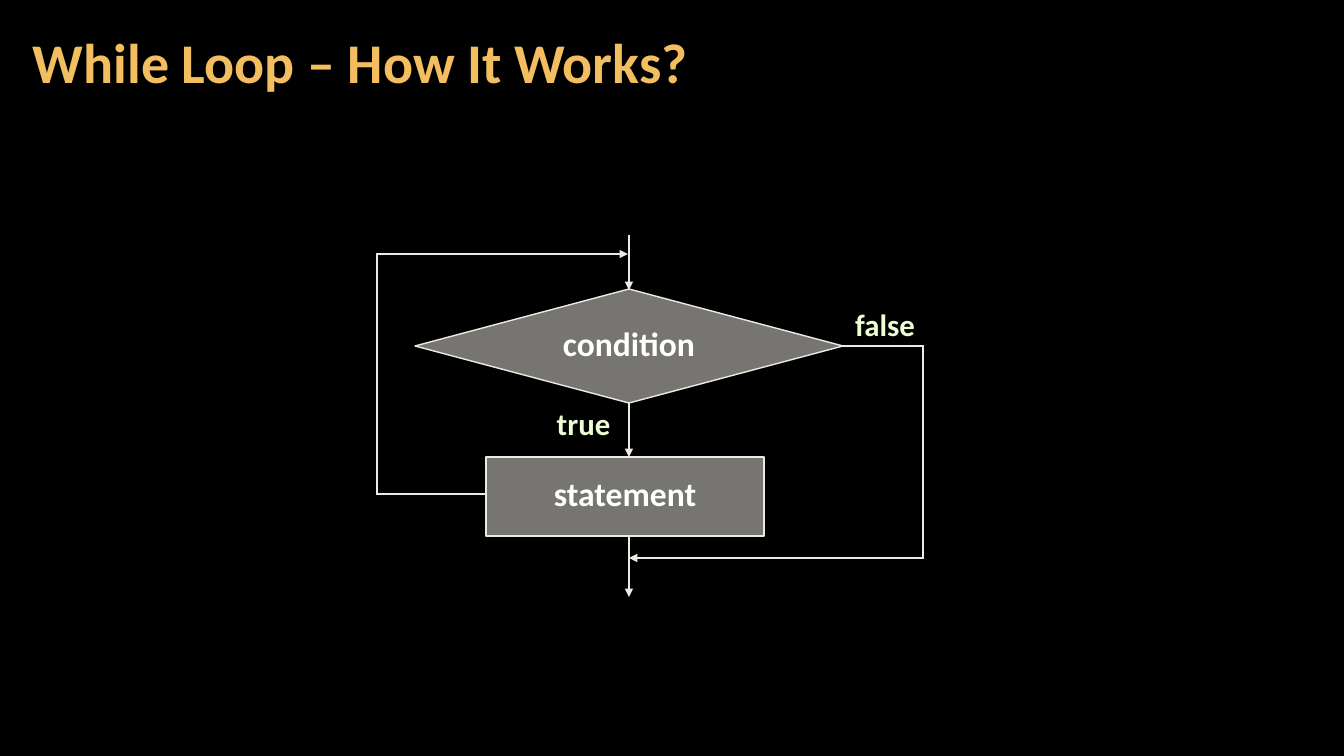
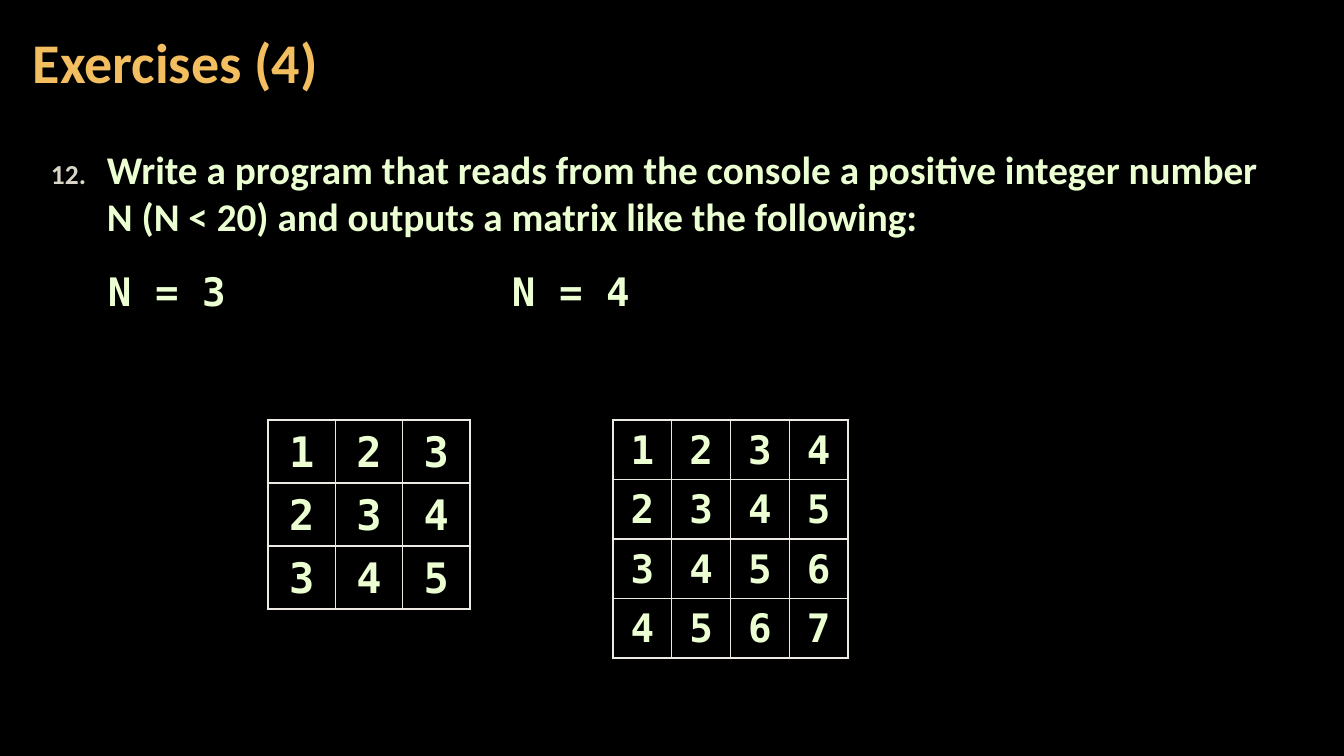
from dataclasses import dataclass
from itertools import pairwise

from pptx import Presentation, util as u
from pptx.dml.color import RGBColor
from pptx.enum import shapes as kinds, text as t
from pptx.oxml import parse_xml
from pptx.oxml.ns import nsdecls
from pptx.oxml.xmlchemy import OxmlElement

PX = 914400 / 100.8  # EMU in one px
WIDE, HIGH = 1344, 756


@dataclass(frozen=True)
class Theme:
    back: str = "000000"
    title: str = "F3BE60"
    body: str = "EBFFD2"
    label: str = "FFFFFF"
    line: str = "ECEAE3"
    number: str = "D9D5C7"
    sans: str = "Calibri"
    mono: str = "DejaVu Sans Mono"
    title_size: int = 40
    body_size: int = 28
    node_size: int = 24
    tag_size: int = 22
    thin: float = 1
    edge: float = 2.25
    flow: float = 2


T = Theme()


def px(*nums):
    return [u.Emu(round(n * PX)) for n in nums]


def rgb(code):
    return RGBColor.from_string(code)


def node(tag, **attrs):
    item = OxmlElement(tag)
    for name, val in attrs.items():
        item.set(name, str(val))
    return item


def write(frame, words, size=T.body_size, color=T.body, font=T.sans,
          align=t.PP_ALIGN.LEFT, anchor=t.MSO_ANCHOR.TOP, lead=1.0, inset=(10, 5)):
    """Fill a text frame with one formatted paragraph and return it."""
    frame.word_wrap = True
    frame.vertical_anchor = anchor
    side, top = px(*inset)
    frame.margin_left = frame.margin_right = side
    frame.margin_top = frame.margin_bottom = top
    para = frame.paragraphs[0]
    para.alignment, para.line_spacing = align, lead
    run = para.add_run()
    run.text = words
    face = run.font
    face.name, face.size, face.bold = font, u.Pt(size), True
    face.color.rgb = rgb(color)
    return para


def add_slide(deck, title):
    slide = deck.slides.add_slide(deck.slide_layouts.get_by_name("Title Only"))
    head = slide.shapes.title
    head.left, head.top, head.width, head.height = px(21, 4, 1055, 122)
    write(head.text_frame, title, size=T.title_size, color=T.title,
          anchor=t.MSO_ANCHOR.MIDDLE, lead=0.9, inset=(12, 4))
    head.text_frame.auto_size = t.MSO_AUTO_SIZE.NONE
    return slide


def add_text(slide, box, words, **style):
    return write(slide.shapes.add_textbox(*px(*box)).text_frame, words, **style)


def add_tag(slide, box, words):
    add_text(slide, box, words, size=T.tag_size, align=t.PP_ALIGN.CENTER, lead=0.85)


def add_step(slide, kind, box, words):
    """Add a half-transparent flowchart node."""
    step = slide.shapes.add_shape(kind, *px(*box))
    step.shadow.inherit = False
    step.fill.solid()
    step.fill.fore_color.rgb = rgb(T.line)
    tint = step.element.spPr.find(".//{*}solidFill/{*}srgbClr")
    tint.append(node("a:alpha", val=50000))
    step.line.color.rgb = rgb(T.line)
    step.line.width = u.Pt(T.thin)
    write(step.text_frame, words, size=T.node_size, color=T.label,
          align=t.PP_ALIGN.CENTER, anchor=t.MSO_ANCHOR.MIDDLE, lead=0.85)


def add_flow(slide, *points):
    """Join the points with straight lines; the last one ends in an arrow."""
    for start, end in pairwise(points):
        link = slide.shapes.add_connector(
            kinds.MSO_CONNECTOR.STRAIGHT, *px(*start, *end))
        link.line.color.rgb = rgb(T.line)
        link.line.width = u.Pt(T.flow)
        stroke = link.get_or_add_ln()
        if end == points[-1]:
            stroke.append(node("a:tailEnd", type="triangle"))
        else:
            stroke.set("cap", "sq")
        link.element.spPr.append(node("a:effectLst"))


def set_number(para, start, indent):
    props = para._p.get_or_add_pPr()
    shift = px(indent)[0]
    props.set("marL", str(shift))
    props.set("indent", str(-shift))
    tint = node("a:buClr")
    tint.append(node("a:srgbClr", val=T.number))
    props.extend([tint, node("a:buSzPct", val=70000),
                  node("a:buAutoNum", type="arabicPeriod", startAt=start)])


def set_edges(cell, outer):
    """Draw the four borders; outer holds flags for left, right, top, bottom."""
    props = cell._tc.get_or_add_tcPr()
    for spot, (side, bold) in enumerate(zip("LRTB", outer)):
        width = u.Pt(T.edge if bold else T.thin)
        props.insert(spot, parse_xml(
            f'<a:ln{side} {nsdecls("a")} w="{width}"><a:solidFill>'
            f'<a:srgbClr val="{T.line}"/></a:solidFill></a:ln{side}>'))


def add_matrix(slide, count, left, top, width, high, size):
    """Add a square table in which each cell is its row plus its column."""
    frame = slide.shapes.add_table(
        count, count, *px(left, top, width, high * count))
    grid = frame.table
    grid.first_row = grid.horz_banding = False
    last = count - 1
    for row in range(count):
        for col in range(count):
            cell = grid.cell(row, col)
            cell.fill.background()
            write(cell.text_frame, str(row + col + 1), size=size, font=T.mono,
                  align=t.PP_ALIGN.CENTER, lead=1.05)
            cell.vertical_anchor = t.MSO_ANCHOR.MIDDLE
            set_edges(cell, (col == 0, col == last, row == 0, row == last))


def add_loop(deck):
    slide = add_slide(deck, "While Loop – How It Works?")
    mid = 629
    add_step(slide, kinds.MSO_SHAPE.FLOWCHART_DECISION,
             (415, 289, 428, 114), "condition")
    add_step(slide, kinds.MSO_SHAPE.RECTANGLE, (486, 457, 278, 79), "statement")
    for top, low in ((235, 290), (403, 457), (536, 597)):
        add_flow(slide, (mid, top), (mid, low))
    add_flow(slide, (840, 346), (923, 346), (923, 558), (mid, 558))
    add_flow(slide, (486, 494), (377, 494), (377, 254), (mid - 1, 254))
    add_tag(slide, (532, 405, 103, 42), "true")
    add_tag(slide, (837, 306, 96, 42), "false")


def add_task(deck):
    slide = add_slide(deck, "Exercises (4)")
    task = add_text(slide, (41, 140, 1244, 110),
                    "Write a program that reads from the console a positive integer "
                    "number N (N < 20) and outputs a matrix like the following:")
    set_number(task, 12, 56)
    for count, label, left, width, high, size in (
            (3, 108, 268, 202, 61, 30), (4, 512, 613, 235, 58, 28)):
        add_text(slide, (label, 267, 140, 46), f"N = {count}",
                 font=T.mono, inset=(0, 0))
        add_matrix(slide, count, left, 420, width, high, size)


def main():
    deck = Presentation()
    deck.slide_width, deck.slide_height = px(WIDE, HIGH)
    fill = deck.slide_master.background.fill
    fill.solid()
    fill.fore_color.rgb = rgb(T.back)
    add_loop(deck)
    add_task(deck)
    deck.save("out.pptx")


if __name__ == "__main__":
    main()
